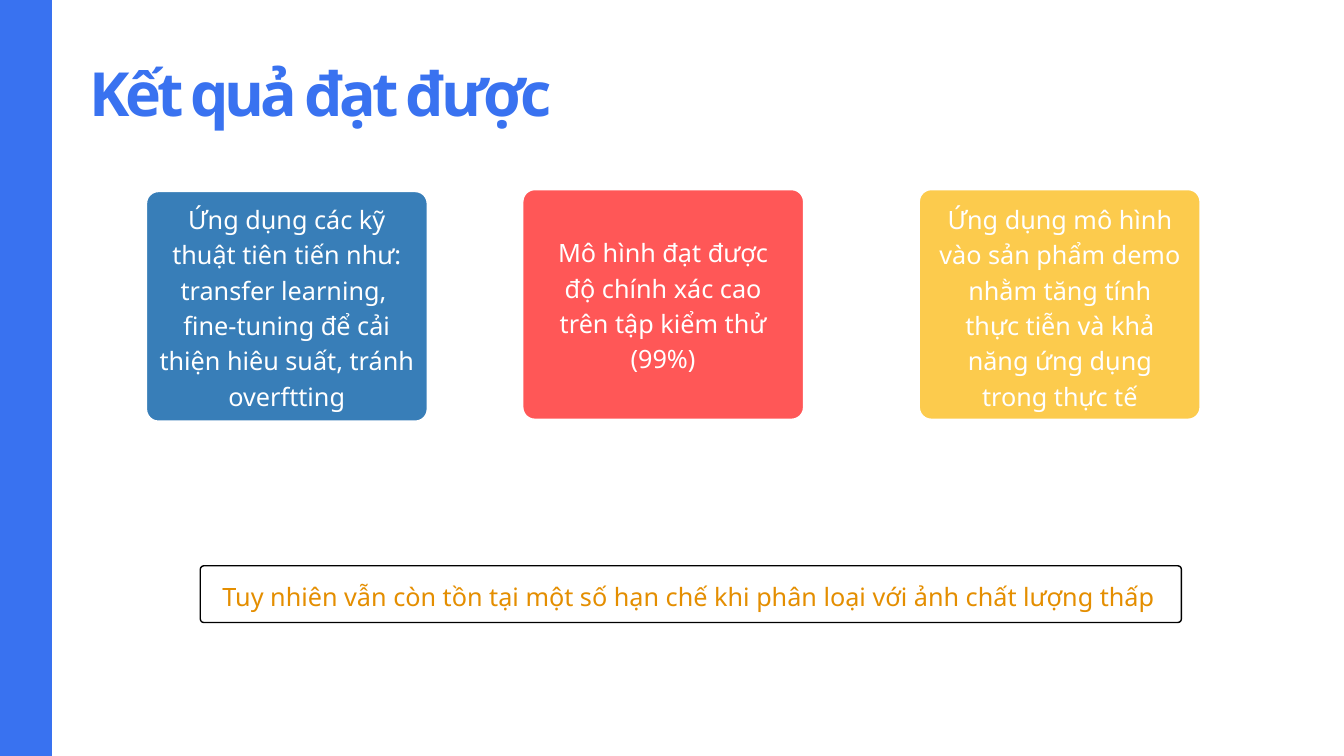
from dataclasses import dataclass

from pptx import Presentation
from pptx.dml.color import RGBColor
from pptx.enum.shapes import MSO_SHAPE
from pptx.enum.text import MSO_ANCHOR, MSO_AUTO_SIZE, PP_ALIGN
from pptx.util import Pt

RECT, ROUNDED = MSO_SHAPE.RECTANGLE, MSO_SHAPE.ROUNDED_RECTANGLE
LEFT, CENTER, JUSTIFY = PP_ALIGN.LEFT, PP_ALIGN.CENTER, PP_ALIGN.JUSTIFY
TOP, NO_FIT = MSO_ANCHOR.TOP, MSO_AUTO_SIZE.NONE

FONT = "Noto Sans"
BLUE, WHITE, BLACK, AMBER = "3972F0", "FFFFFF", "000000", "E48E00"
WIDTH, HEIGHT = 1440, 810
CARD_W, CARD_H = 302.4, 247.6


@dataclass
class Box:
    x: float
    y: float
    w: float
    h: float

    def lengths(self):
        return Pt(self.x), Pt(self.y), Pt(self.w), Pt(self.h)


@dataclass
class Card:
    x: float
    y: float
    fill: str
    label: Box
    text: str


CARDS = [
    Card(559.4, 202.4, "FF5757", Box(591.2, 249.2, 238.4, 149),
         "Mô hình đạt được độ chính xác cao trên tập kiểm thử (99%)"),
    Card(156.2, 204.4, "387EB8", Box(166.4, 213.8, 281.6, 224),
         "Ứng dụng các kỹ thuật tiên tiến như: transfer learning,  "
         "fine-tuning để cải thiện hiêu suất, tránh overftting"),
    Card(984.2, 202.4, "FCCB4D", Box(1005.2, 213.8, 260.6, 224),
         "Ứng dụng mô hình vào sản phẩm demo nhằm tăng tính "
         "thực tiễn và khả năng ứng dụng trong thực tế"),
]


def rgb(color: str) -> RGBColor:
    return RGBColor.from_string(color)


def add_panel(s, kind, box: Box, fill: str = "", line: str = "",
              width: float = 0, radius: float = 0):
    sp = s.shapes.add_shape(kind, *box.lengths())
    sp.shadow.inherit = False
    if fill:
        sp.fill.solid()
        sp.fill.fore_color.rgb = rgb(fill)
    else:
        sp.fill.background()
    if line:
        sp.line.color.rgb = rgb(line)
        sp.line.width = Pt(width)
    else:
        sp.line.fill.background()
    if radius:
        sp.adjustments[0] = radius / min(box.w, box.h)


def set_text(sp, text: str, color: str, align, size: float = 27,
             leading: float = 37.8, bold: bool = False):
    tf = sp.text_frame
    tf.text = text
    tf.word_wrap = True
    tf.auto_size = NO_FIT
    tf.vertical_anchor = TOP
    tf.margin_left = tf.margin_right = tf.margin_top = tf.margin_bottom = 0
    p = tf.paragraphs[0]
    p.alignment = align
    p.line_spacing = Pt(leading)
    r = p.runs[0]
    r.font.name = FONT
    r.font.size = Pt(size)
    r.font.bold = bold
    r.font.color.rgb = rgb(color)
    return r


def main():
    prs = Presentation()
    prs.slide_width, prs.slide_height = Pt(WIDTH), Pt(HEIGHT)
    s = prs.slides.add_slide(prs.slide_layouts[5])

    # Side band
    add_panel(s, RECT, Box(0, 0, 55.6, HEIGHT), fill=BLUE)

    # Title, with tightened letter spacing
    title = s.shapes.title
    title.left, title.top, title.width, title.height = Box(95.8, 46.8, 940.4, 87.2).lengths()
    r = set_text(title, "Kết quả đạt được", BLUE, LEFT, 65.2, 91.2, True)
    r.font._element.set("spc", "-460")

    # Result cards
    for card in CARDS:
        add_panel(s, ROUNDED, Box(card.x, card.y, CARD_W, CARD_H), card.fill, WHITE, 3, 13.6)
        set_text(s.shapes.add_textbox(*card.label.lengths()), card.text, WHITE, CENTER)

    # Remaining limitation
    add_panel(s, ROUNDED, Box(214.6, 606.2, 1051.2, 60.8), line=BLACK, width=1.5, radius=3.8)
    note = s.shapes.add_textbox(*Box(238.4, 617, 1003, 35.4).lengths())
    set_text(note, "Tuy nhiên vẫn còn tồn tại một số hạn chế khi phân loại "
             "với ảnh chất lượng thấp", AMBER, JUSTIFY)

    prs.save("out.pptx")


if __name__ == "__main__":
    main()
